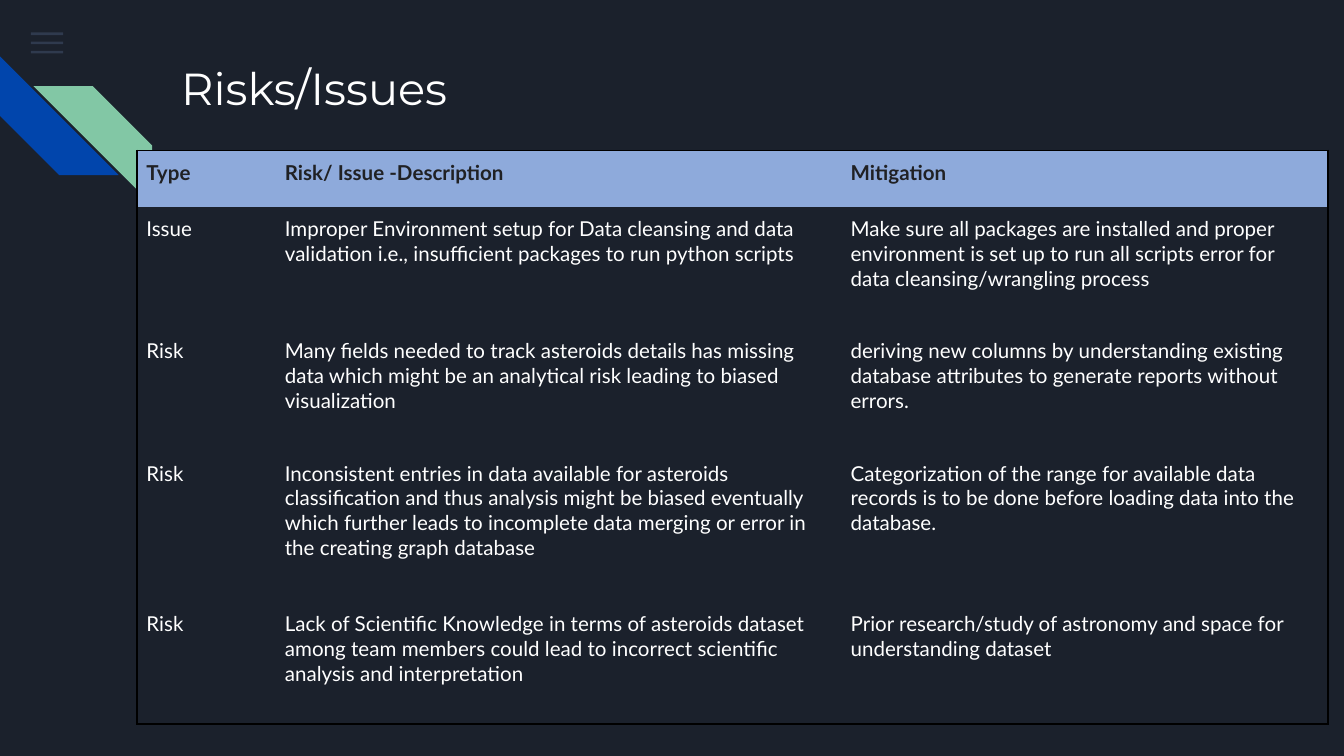
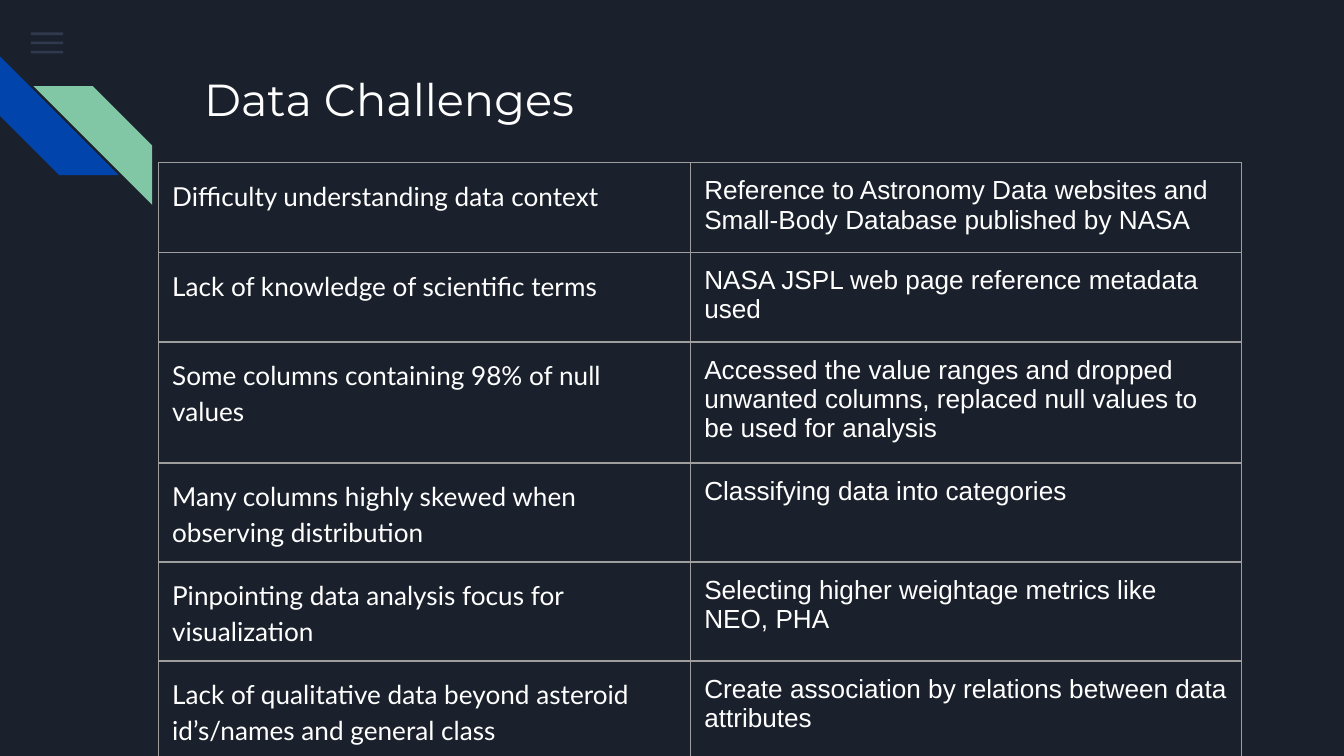
from lxml import etree
from pptx import Presentation
from pptx.dml.color import RGBColor
from pptx.enum.shapes import MSO_SHAPE
from pptx.oxml.ns import qn
from pptx.util import Pt

RECTANGLE = MSO_SHAPE.RECTANGLE
STRIPE = MSO_SHAPE.DIAGONAL_STRIPE

COLORS = {
    "night": "1B212C", "slate": "55688B", "blue": "0145AC", "green": "82C7A5",
    "white": "FFFFFF", "header": "8EAADB", "ink": "202124",
    "black": "000000", "gray": "9E9E9E",
}

RISKS = [
    ("Type", "Risk/ Issue -Description", "Mitigation"),
    ("Issue",
     "Improper Environment setup for Data cleansing and data validation i.e., "
     "insufficient packages to run python scripts",
     "Make sure all packages are installed and proper environment is set up to run "
     "all scripts error for data cleansing/wrangling process"),
    ("Risk",
     "Many fields needed to track asteroids details has missing data which might be "
     "an analytical risk leading to biased visualization",
     "deriving new columns by understanding existing database attributes to generate "
     "reports without errors."),
    ("Risk",
     "Inconsistent entries in data available for asteroids classification and thus "
     "analysis might be biased eventually which further leads to incomplete data "
     "merging or error in the creating graph database",
     "Categorization of the range for available data records is to be done before "
     "loading data into the database."),
    ("Risk",
     "Lack of Scientific Knowledge in terms of asteroids dataset among team members "
     "could lead to incorrect scientific analysis and interpretation",
     "Prior research/study of astronomy and space for understanding dataset"),
]

CHALLENGES = [
    ("Difficulty understanding data context",
     "Reference to Astronomy Data websites and Small-Body Database published by NASA"),
    ("Lack of knowledge of scientific terms",
     "NASA JSPL web page reference metadata used"),
    ("Some columns containing 98% of null values",
     "Accessed the value ranges and dropped unwanted columns, replaced null values to "
     "be used for analysis"),
    ("Many columns highly skewed when observing distribution",
     "Classifying data into categories"),
    ("Pinpointing data analysis focus for visualization",
     "Selecting higher weightage metrics like NEO, PHA"),
    ("Lack of qualitative data beyond asteroid id’s/names and general class",
     "Create association by relations between data attributes"),
]

PAGES = [
    dict(title="Risks/Issues", title_at=(90, 25.2), rows=RISKS, at=(73.44, 80.64),
         widths=[74.2, 303.1, 260.6], heights=[30.2, 65.5, 65.5, 80.6, 65.5],
         height=307.3, inset=5, fonts=["Lato"] * 3, size=11, spacing=[None] * 3,
         has_header=True, fill="night", border="black", weight=1, inner=False),
    dict(title="Data Challenges", title_at=(102.24, 31), rows=CHALLENGES, at=(85, 87.12),
         widths=[285.1, 295.2], heights=[30.24] * 6,
         height=319.7, inset=7.2, fonts=["Lato", "Arial"], size=14, spacing=[1.15, None],
         has_header=False, fill=None, border="gray", weight=0.75, inner=True),
]


def add_plain_shape(slide, kind, left, top, width, height, color):
    shape = slide.shapes.add_shape(kind, Pt(left), Pt(top), Pt(width), Pt(height))
    shape.shadow.inherit = False
    shape.fill.solid()
    shape.fill.fore_color.rgb = RGBColor.from_string(COLORS[color])
    shape.line.fill.background()
    return shape


def add_border(cell, side, color, weight):
    line = etree.SubElement(cell._tc.get_or_add_tcPr(), qn("a:ln" + side))
    line.set("w", str(int(Pt(weight))))
    if color:
        solid = etree.SubElement(line, qn("a:solidFill"))
        etree.SubElement(solid, qn("a:srgbClr")).set("val", COLORS[color])
    else:
        etree.SubElement(line, qn("a:noFill"))


prs = Presentation()
prs.slide_width, prs.slide_height = Pt(720), Pt(405)
backdrop = prs.slide_master.background.fill
backdrop.solid()
backdrop.fore_color.rgb = RGBColor.from_string(COLORS["night"])

for page in PAGES:
    slide = prs.slides.add_slide(prs.slide_layouts[6])

    for i in range(3):
        bar = add_plain_shape(slide, RECTANGLE, 16.6, 17.4 + 4.95 * i, 17.3, 1.4, "slate")
        bar_color = bar.element.spPr.find(".//" + qn("a:srgbClr"))
        etree.SubElement(bar_color, qn("a:alpha")).set("val", "36000")
    blue_stripe = add_plain_shape(slide, STRIPE, 0, 30.2, 63.6, 63.6, "blue")
    blue_stripe.rotation = 270
    green_stripe = add_plain_shape(slide, STRIPE, 18, 46.2, 63.6, 63.6, "green")
    green_stripe.element.spPr.find(qn("a:xfrm")).set("flipH", "1")

    left, top = page["title_at"]
    title = slide.shapes.add_textbox(Pt(left), Pt(top), Pt(554.4), Pt(72)).text_frame
    title.word_wrap = True
    title.margin_left = title.margin_right = Pt(7.2)
    title.margin_top = title.margin_bottom = Pt(7.2)
    heading = title.paragraphs[0]
    heading.text = page["title"]
    heading.font.name = "Montserrat"
    heading.font.size = Pt(24)
    heading.font.color.rgb = RGBColor.from_string(COLORS["white"])

    left, top = page["at"]
    last_row, last_col = len(page["rows"]) - 1, len(page["widths"]) - 1
    frame = slide.shapes.add_table(last_row + 1, last_col + 1, Pt(left), Pt(top),
                                   Pt(sum(page["widths"])), Pt(page["height"]))
    table = frame.table
    table.first_row = page["has_header"]
    table.horz_banding = False
    for column, width in zip(table.columns, page["widths"]):
        column.width = Pt(width)
    for row, height in zip(table.rows, page["heights"]):
        row.height = Pt(height)
    frame.height = Pt(page["height"])

    for r, texts in enumerate(page["rows"]):
        is_header = page["has_header"] and r == 0
        for c, text in enumerate(texts):
            cell = table.cell(r, c)
            cell.margin_left = cell.margin_right = Pt(page["inset"])
            cell.margin_top = cell.margin_bottom = Pt(page["inset"])
            outer = {"L": c == 0, "R": c == last_col, "T": r == 0, "B": r == last_row}
            for side, on_edge in outer.items():
                color = page["border"] if on_edge or page["inner"] else None
                add_border(cell, side, color, page["weight"])
            fill = "header" if is_header else page["fill"]
            if fill:
                cell.fill.solid()
                cell.fill.fore_color.rgb = RGBColor.from_string(COLORS[fill])
            else:
                cell.fill.background()
            entry = cell.text_frame.paragraphs[0]
            entry.text = text
            entry.line_spacing = page["spacing"][c]
            entry.font.name = page["fonts"][c]
            entry.font.size = Pt(page["size"])
            entry.font.bold = is_header
            entry.font.color.rgb = RGBColor.from_string(COLORS["ink" if is_header else "white"])

prs.save("out.pptx")
